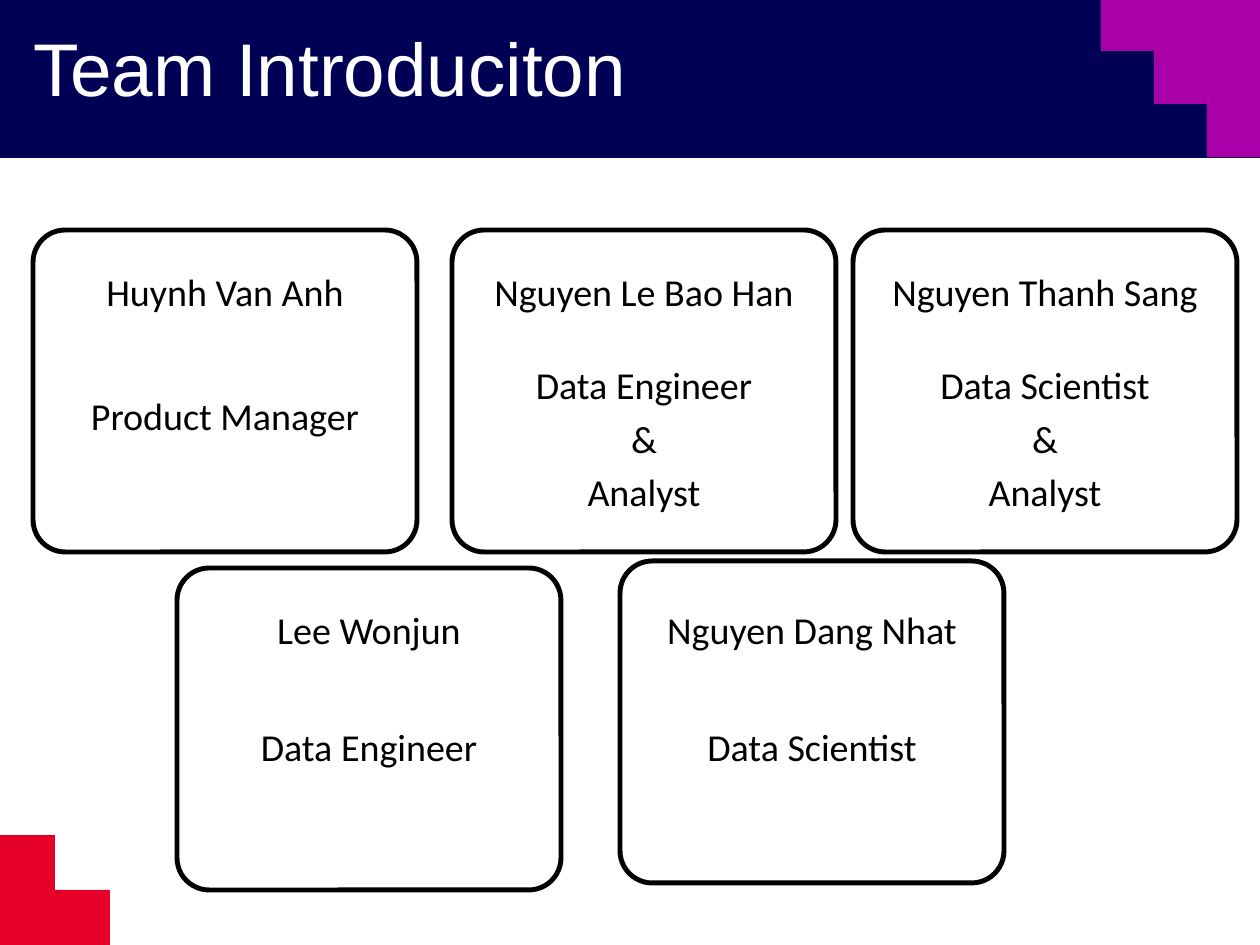
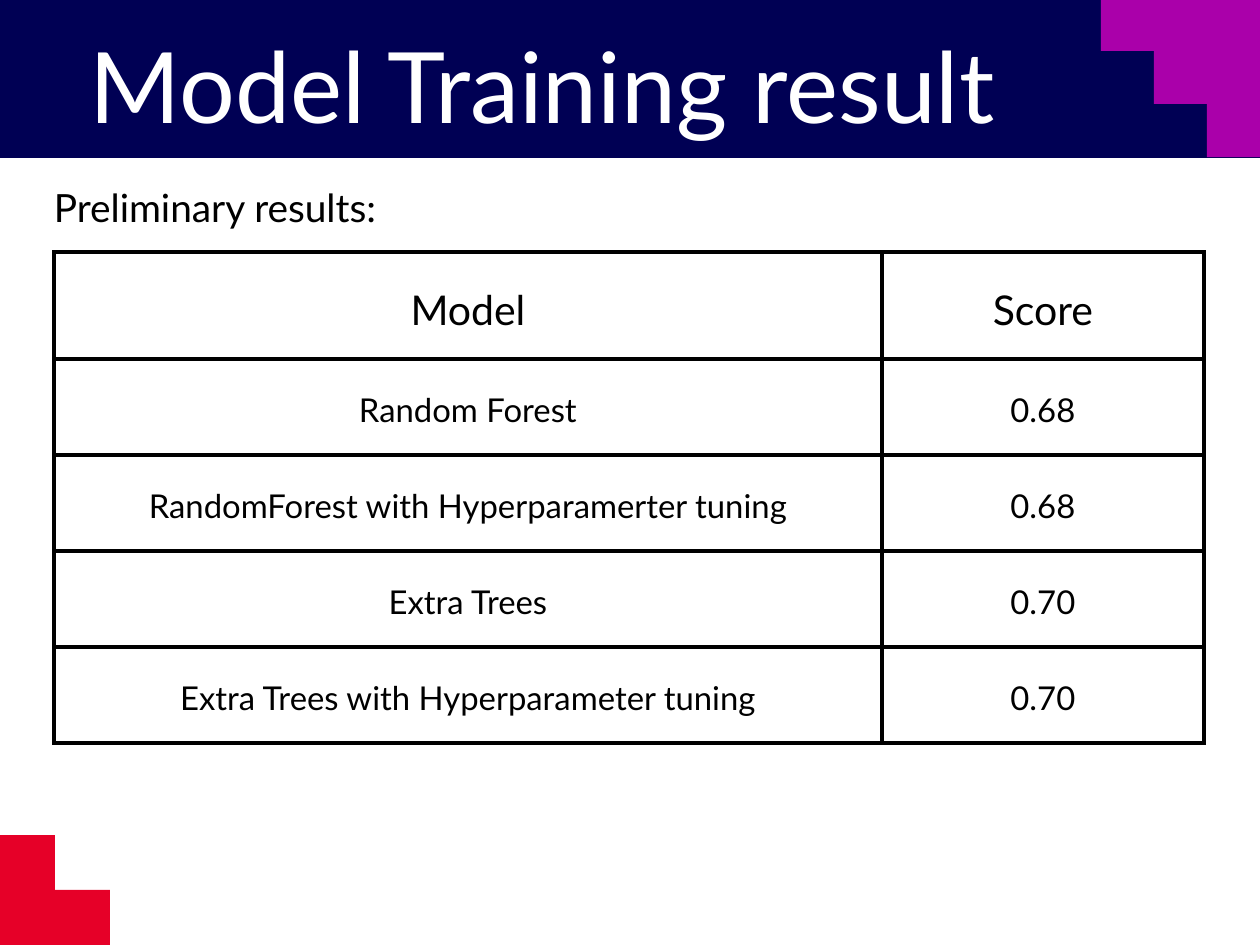
"""Build the team introduction and model training result slides."""
import dataclasses
import typing

import lxml.etree
import pptx
import pptx.dml.color
import pptx.enum.shapes
import pptx.enum.text
import pptx.oxml.ns
import pptx.util

EMU_PER_PX = 7741
SLIDE_WIDTH, SLIDE_HEIGHT = 1260, 945
CENTER = pptx.enum.text.PP_ALIGN.CENTER
LEFT = pptx.enum.text.PP_ALIGN.LEFT


@dataclasses.dataclass(frozen=True)
class TextStyle:
    """Type settings, with size and line spacing in points."""
    font: str
    size: float
    leading: float
    color: str
    align: typing.Any = CENTER


@dataclasses.dataclass(frozen=True)
class Theme:
    """Colours and type styles of the presentation."""
    band: str = "000054"
    red: str = "E60028"
    purple: str = "AA00AA"
    outline: str = "000000"
    card_line: float = 3
    grid_line: float = 2.25
    team_title: TextStyle = TextStyle("Arial", 45.5, 54.5, "FFFFFF", LEFT)
    result_title: TextStyle = TextStyle("Lato", 60, 84, "FFFFFF")
    member: TextStyle = TextStyle("Calibri", 23.2, 32.5, "000000")
    lead: TextStyle = TextStyle("Lato", 23.7, 33.2, "000000", LEFT)
    header: TextStyle = TextStyle("Lato", 25, 35, "000000")
    entry: TextStyle = TextStyle("Lato", 20, 28, "000000")


class Box(typing.NamedTuple):
    """A rectangle in px."""
    left: int
    top: int
    width: int
    height: int


class Stair(typing.NamedTuple):
    """A stepped corner ornament drawn on a grid of square steps."""
    left: int
    top: int
    step: int
    color: str
    corners: list[tuple[int, int]]


class Member(typing.NamedTuple):
    """A team member's card and the tops of its two texts."""
    name: str
    role: list[str]
    left: int
    top: int
    name_top: int
    role_top: int


THEME = Theme()
CARD_WIDTH, CARD_HEIGHT, LINE_HEIGHT = 384, 322, 52
CELL_MARGIN = 20
STAIRS = [
    Stair(0, 835, 55, THEME.red, [(0, 0), (1, 0), (1, 1), (2, 1), (2, 2), (0, 2)]),
    Stair(1101, -2, 53, THEME.purple,
          [(0, 0), (3, 0), (3, 3), (2, 3), (2, 2), (1, 2), (1, 1), (0, 1)]),
]
TEAM = [
    Member("Huynh Van Anh", ["Product Manager"], 33, 230, 261, 385),
    Member("Nguyen Le Bao Han", ["Data Engineer", "&", "Analyst"], 452, 230, 261, 354),
    Member("Nguyen Thanh Sang", ["Data Scientist", "&", "Analyst"], 853, 230, 261, 354),
    Member("Lee Wonjun", ["Data Engineer"], 177, 568, 599, 716),
    Member("Nguyen Dang Nhat", ["Data Scientist"], 620, 561, 599, 716),
]
SCORES = [
    ("Model", "Score"),
    ("Random Forest", "0.68"),
    ("RandomForest with Hyperparamerter tuning", "0.68"),
    ("Extra Trees", "0.70"),
    ("Extra Trees with Hyperparameter tuning", "0.70"),
]
COLUMN_WIDTHS = [828, 322]
ROW_HEIGHTS = [107] + [96] * (len(SCORES) - 1)


def px(length: int) -> pptx.util.Emu:
    """Convert px to EMU."""
    return pptx.util.Emu(length * EMU_PER_PX)


def rgb(color: str) -> pptx.dml.color.RGBColor:
    """Convert a hex string to a colour."""
    return pptx.dml.color.RGBColor.from_string(color)


def apply(target: typing.Any, values: dict[str, typing.Any]) -> None:
    """Set every named attribute on the target."""
    for attribute, value in values.items():
        setattr(target, attribute, value)


def place(shape: typing.Any, box: Box) -> None:
    """Move and size a shape."""
    apply(shape, {side: px(length) for side, length in box._asdict().items()})


def write(frame: typing.Any, lines: list[str], style: TextStyle) -> None:
    """Fill a text frame with one styled paragraph per line."""
    for index, line in enumerate(lines):
        paragraph = frame.add_paragraph() if index else frame.paragraphs[0]
        apply(paragraph, {
            "alignment": style.align,
            "line_spacing": pptx.util.Pt(style.leading),
            "space_before": pptx.util.Pt(0),
            "space_after": pptx.util.Pt(0),
        })
        run = paragraph.add_run()
        run.text = line
        apply(run.font, {"name": style.font, "size": pptx.util.Pt(style.size), "bold": False})
        run.font.color.rgb = rgb(style.color)


def fill_text(shape: typing.Any, box: Box, lines: list[str], style: TextStyle) -> None:
    """Place a text holder without insets and write its lines."""
    place(shape, box)
    apply(shape.text_frame, {
        "word_wrap": True,
        "auto_size": pptx.enum.text.MSO_AUTO_SIZE.NONE,
        "vertical_anchor": pptx.enum.text.MSO_ANCHOR.TOP,
        "margin_left": 0, "margin_right": 0, "margin_top": 0, "margin_bottom": 0,
    })
    write(shape.text_frame, lines, style)


def paint(shape: typing.Any, color: str) -> None:
    """Give a shape a flat fill without line or shadow."""
    shape.shadow.inherit = False
    shape.fill.solid()
    shape.fill.fore_color.rgb = rgb(color)
    shape.line.fill.background()


def add_shape(slide: typing.Any, kind: typing.Any, box: Box) -> typing.Any:
    """Add a preset shape in a px box."""
    return slide.shapes.add_shape(kind, *map(px, box))


def add_slide(deck: typing.Any, layout: int, title: str, box: Box, style: TextStyle) -> typing.Any:
    """Add a slide with the band, the corner stairs and its title on top."""
    slide = deck.slides.add_slide(deck.slide_layouts[layout])
    band = add_shape(slide, pptx.enum.shapes.MSO_SHAPE.RECTANGLE, Box(0, 0, SLIDE_WIDTH, 158))
    paint(band, THEME.band)
    for stair in STAIRS:
        start, *rest = stair.corners
        outline = slide.shapes.build_freeform(*start, scale=px(stair.step))
        outline.add_line_segments(rest, close=True)
        paint(outline.convert_to_shape(px(stair.left), px(stair.top)), stair.color)
    heading = slide.shapes.title
    fill_text(heading, box, [title], style)
    heading.element.getparent().append(heading.element)
    return slide


def add_text(slide: typing.Any, box: Box, lines: list[str], style: TextStyle) -> None:
    """Add a styled text box."""
    fill_text(slide.shapes.add_textbox(*map(px, box)), box, lines, style)


def add_member(slide: typing.Any, member: Member) -> None:
    """Draw a member's card with name and role centred on it."""
    card = add_shape(slide, pptx.enum.shapes.MSO_SHAPE.ROUNDED_RECTANGLE,
                     Box(member.left, member.top, CARD_WIDTH, CARD_HEIGHT))
    card.adjustments[0] = 0.1
    card.shadow.inherit = False
    card.fill.background()
    card.line.color.rgb = rgb(THEME.outline)
    card.line.width = pptx.util.Pt(THEME.card_line)
    for top, lines in ((member.name_top, [member.name]), (member.role_top, member.role)):
        box = Box(member.left, top, CARD_WIDTH, LINE_HEIGHT * len(lines))
        add_text(slide, box, lines, THEME.member)


def border(cell: typing.Any) -> None:
    """Draw the grid line on all four sides of a cell."""
    qn = pptx.oxml.ns.qn
    properties = cell._tc.get_or_add_tcPr()
    for position, side in enumerate(("a:lnL", "a:lnR", "a:lnT", "a:lnB")):
        line = lxml.etree.Element(qn(side), w=str(pptx.util.Pt(THEME.grid_line)))
        solid = lxml.etree.SubElement(line, qn("a:solidFill"))
        lxml.etree.SubElement(solid, qn("a:srgbClr"), val=THEME.outline)
        properties.insert(position, line)


def add_scores(slide: typing.Any, left: int, top: int) -> None:
    """Add the table of model scores."""
    box = Box(left, top, sum(COLUMN_WIDTHS), sum(ROW_HEIGHTS))
    table = slide.shapes.add_table(len(SCORES), len(COLUMN_WIDTHS), *map(px, box)).table
    apply(table, {"first_row": False, "horz_banding": False})
    for column, width in zip(table.columns, COLUMN_WIDTHS):
        column.width = px(width)
    margins = {f"margin_{side}": px(CELL_MARGIN) for side in ("left", "right", "top", "bottom")}
    for index, (row, height, values) in enumerate(zip(table.rows, ROW_HEIGHTS, SCORES)):
        row.height = px(height)
        for cell, value in zip(row.cells, values):
            apply(cell, {"vertical_anchor": pptx.enum.text.MSO_ANCHOR.MIDDLE, **margins})
            cell.fill.background()
            border(cell)
            write(cell.text_frame, [value], THEME.entry if index else THEME.header)


def add_lead(slide: typing.Any, box: Box, line: str) -> None:
    """Write an unbulleted line into the body placeholder."""
    body = slide.placeholders[1]
    properties = body.text_frame.paragraphs[0]._p.get_or_add_pPr()
    for attribute in ("marL", "indent"):
        properties.set(attribute, "0")
    lxml.etree.SubElement(properties, pptx.oxml.ns.qn("a:buNone"))
    fill_text(body, box, [line], THEME.lead)


def main() -> None:
    """Build and save the presentation."""
    deck = pptx.Presentation()
    apply(deck, {"slide_width": px(SLIDE_WIDTH), "slide_height": px(SLIDE_HEIGHT)})
    team = add_slide(deck, 5, "Team Introduciton", Box(33, 22, 869, 100), THEME.team_title)
    for member in TEAM:
        add_member(team, member)
    results = add_slide(deck, 1, "Model Training result", Box(0, 5, 1084, 132),
                        THEME.result_title)
    add_lead(results, Box(54, 176, 385, 52), "Preliminary results:")
    add_scores(results, 54, 252)
    deck.save("out.pptx")


if __name__ == "__main__":
    main()
